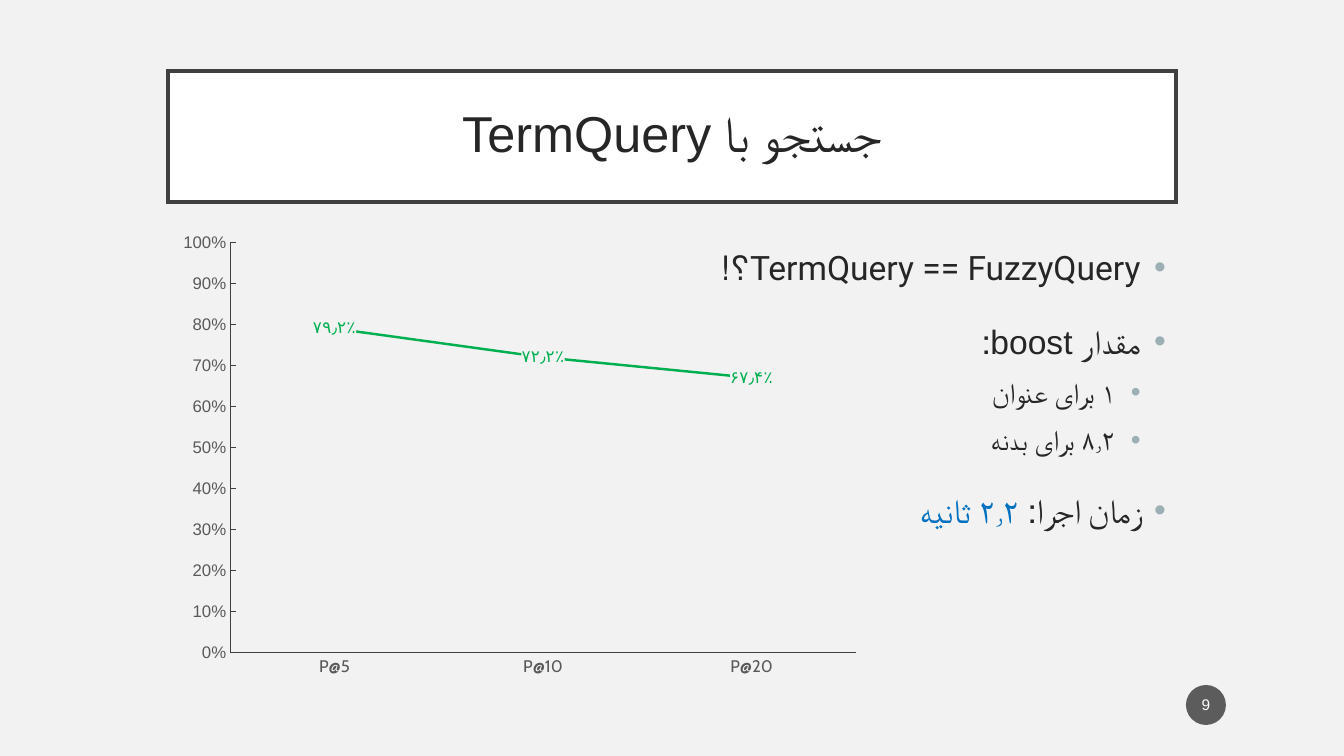
import dataclasses

import lxml.etree
import pptx
import pptx.chart.data
import pptx.dml.color
import pptx.enum.chart
import pptx.enum.shapes
import pptx.enum.text
import pptx.oxml.ns
import pptx.util


@dataclasses.dataclass(frozen=True)
class Theme:
    """Colours, fonts and type sizes of the slide."""
    background: str = "F2F2F2"
    panel: str = "FFFFFF"
    frame: str = "404040"
    text: str = "262626"
    accent: str = "0070C0"
    bullet: str = "9BAFB5"
    badge: str = "1D1D1D"
    axis_text: str = "595959"
    series: str = "00B050"
    font: str = "Arial"
    query_font: str = "Roboto"
    category_font: str = "Cabin"
    title_size: int = 36
    item_size: int = 24
    subitem_size: int = 20
    axis_size: int = 12
    badge_size: int = 11


THEME = Theme()
ALIGN = pptx.enum.text.PP_ALIGN
MIDDLE = pptx.enum.text.MSO_ANCHOR.MIDDLE


def px(length):
    """Turn pixels into EMU."""
    return pptx.util.Emu(round(length * 914400 / 100.8))


def rgb(value):
    """Return a colour object."""
    return pptx.dml.color.RGBColor.from_string(value)


def add_xml(parent, tag, **attributes):
    """Append an XML element."""
    return lxml.etree.SubElement(parent, pptx.oxml.ns.qn(tag), attributes)


def place(shape, left, top, width, height):
    """Move and size a shape."""
    shape.left, shape.top = px(left), px(top)
    shape.width, shape.height = px(width), px(height)


def paint(fill, color):
    """Fill with one colour."""
    fill.solid()
    fill.fore_color.rgb = rgb(color)


def set_font(font, size, color, name=THEME.font):
    """Set size, colour and typeface."""
    font.size = pptx.util.Pt(size)
    font.name = name
    font.bold = False
    font.color.rgb = rgb(color)


def add_span(para, text, size, color=THEME.text, name=THEME.font):
    """Add one formatted run."""
    span = para.add_run()
    span.text = text
    set_font(span.font, size, color, name)


def set_rtl(para, align):
    """Make a paragraph run right to left."""
    para.alignment = align
    para._p.get_or_add_pPr().set("rtl", "1")


def add_title(page, text):
    """Fill the framed title."""
    title = page.shapes.title
    place(title, 168, 71, 1008, 131)
    paint(title.fill, THEME.panel)
    title.line.color.rgb = rgb(THEME.frame)
    title.line.width = pptx.util.Pt(2.5)
    outline = title.element.spPr.find(pptx.oxml.ns.qn("a:ln"))
    add_xml(outline, "a:miter", lim="800000")
    frame = title.text_frame
    frame.word_wrap = True
    frame.auto_size = pptx.enum.text.MSO_AUTO_SIZE.NONE
    frame.vertical_anchor = MIDDLE
    frame.margin_left = frame.margin_right = px(20)
    frame.margin_top = frame.margin_bottom = px(20)
    para = frame.paragraphs[0]
    set_rtl(para, ALIGN.CENTER)
    para.line_spacing = 0.9
    add_span(para, text, THEME.title_size)


def add_item(para, level, before, spans):
    """Write one bulleted right-to-left item."""
    para.level = level
    set_rtl(para, ALIGN.RIGHT)
    para.line_spacing = 1.0
    para.space_before = pptx.util.Pt(before)
    para.space_after = pptx.util.Pt(0)
    props = para._p.get_or_add_pPr()
    indent = pptx.util.Inches(0.25)
    props.set("marL", str(indent * (level + 1)))
    props.set("indent", str(-indent))
    add_xml(add_xml(props, "a:buClr"), "a:srgbClr", val=THEME.bullet)
    add_xml(props, "a:buFont", typeface=THEME.font)
    add_xml(props, "a:buChar", char="•")
    size = THEME.subitem_size if level else THEME.item_size
    for text, color, name in spans:
        add_span(para, text, size, color, name)


def add_list(page, items):
    """Fill the body placeholder with items."""
    body = page.placeholders[1]
    place(body, 168, 242, 1008, 403)
    frame = body.text_frame
    frame.word_wrap = True
    frame.auto_size = pptx.enum.text.MSO_AUTO_SIZE.NONE
    frame.vertical_anchor = pptx.enum.text.MSO_ANCHOR.TOP
    for index, item in enumerate(items):
        para = frame.add_paragraph() if index else frame.paragraphs[0]
        add_item(para, *item)


def add_badge(page, number):
    """Draw the round page number."""
    badge = page.shapes.add_shape(
        pptx.enum.shapes.MSO_SHAPE.OVAL, px(1186), px(685), px(40), px(40))
    badge.shadow.inherit = False
    paint(badge.fill, THEME.badge)
    color = badge.element.spPr.find(".//" + pptx.oxml.ns.qn("a:srgbClr"))
    add_xml(color, "a:alpha", val="70000")
    badge.line.fill.background()
    frame = badge.text_frame
    frame.vertical_anchor = MIDDLE
    frame.margin_left = frame.margin_right = px(2)
    frame.margin_top, frame.margin_bottom = px(3), px(8)
    para = frame.paragraphs[0]
    para.alignment = ALIGN.CENTER
    para.line_spacing = pptx.util.Pt(16)
    add_span(para, number, THEME.badge_size, THEME.panel)


def style_axis(axis, name, tick):
    """Format one chart axis."""
    axis.has_major_gridlines = False
    axis.major_tick_mark = tick
    axis.minor_tick_mark = pptx.enum.chart.XL_TICK_MARK.NONE
    axis.format.line.color.rgb = rgb(THEME.frame)
    axis.format.line.width = pptx.util.Pt(0.75)
    set_font(axis.tick_labels.font, THEME.axis_size, THEME.axis_text, name)


def set_plot_area(chart, **fractions):
    """Fix the inner plot area."""
    area = chart._chartSpace.chart.plotArea
    layout = area.find(pptx.oxml.ns.qn("c:layout"))
    if layout is None:
        layout = add_xml(area, "c:layout")
        area.insert(0, layout)
    manual = add_xml(layout, "c:manualLayout")
    add_xml(manual, "c:layoutTarget", val="inner")
    for side in "xy":
        add_xml(manual, f"c:{side}Mode", val="edge")
    for side, fraction in fractions.items():
        add_xml(manual, f"c:{side}", val=str(fraction))


def add_point_label(point, text):
    """Label a point on a patch that covers the line."""
    label = point.data_label
    add_span(label.text_frame.paragraphs[0], text,
             THEME.axis_size, THEME.series)
    label.position = pptx.enum.chart.XL_LABEL_POSITION.CENTER
    rich = label.text_frame._txBody
    patch = add_xml(rich.getparent().getparent(), "c:spPr")
    add_xml(add_xml(patch, "a:solidFill"), "a:srgbClr", val=THEME.background)
    rich.getparent().addnext(patch)


def add_precision_chart(page, precision):
    """Add the line chart of precision by cutoff."""
    data = pptx.chart.data.CategoryChartData(number_format="0.0%")
    data.categories = [cutoff for cutoff, _, _ in precision]
    data.add_series("Series 1", [value for _, value, _ in precision])
    chart = page.shapes.add_chart(
        pptx.enum.chart.XL_CHART_TYPE.LINE,
        px(167), px(224), px(703), px(461), data).chart
    chart.has_legend = chart.has_title = False
    set_font(chart.font, 10, "000000", THEME.category_font)
    set_plot_area(chart, x=0.09, y=0.04, w=0.89, h=0.89)
    ticks = pptx.enum.chart.XL_TICK_MARK
    style_axis(chart.category_axis, THEME.category_font, ticks.NONE)
    axis = chart.value_axis
    style_axis(axis, THEME.font, ticks.INSIDE)
    axis.minimum_scale, axis.maximum_scale, axis.major_unit = 0, 1, 0.1
    axis.tick_labels.number_format = "0%"
    axis.tick_labels.number_format_is_linked = False
    plot = chart.plots[0]
    plot.vary_by_categories = False
    line = plot.series[0]
    line.smooth = False
    line.marker.style = pptx.enum.chart.XL_MARKER_STYLE.NONE
    line.format.line.color.rgb = rgb(THEME.series)
    line.format.line.width = pptx.util.Pt(1.75)
    for index, (_, _, text) in enumerate(precision):
        add_point_label(line.points[index], text)


def main():
    """Build and save the slide."""
    deck = pptx.Presentation()
    deck.slide_width, deck.slide_height = px(1344), px(756)
    page = deck.slides.add_slide(deck.slide_layouts[1])
    paint(page.background.fill, THEME.background)
    plain = (THEME.text, THEME.font)
    add_title(page, "جستجو با TermQuery")
    add_list(page, [
        (0, 10, [("TermQuery == FuzzyQuery؟!", THEME.text, THEME.query_font)]),
        (0, 24, [("مقدار boost:", *plain)]),
        (1, 10, [("۱ برای عنوان", *plain)]),
        (1, 10, [("۸٫۲ برای بدنه", *plain)]),
        (0, 24, [("زمان اجرا: ", *plain),
                 ("۲٫۲ ثانیه", THEME.accent, THEME.font)]),
    ])
    add_badge(page, "9")
    add_precision_chart(page, [("P@5", 0.79, "۷۹٫۲٪"),
                               ("P@10", 0.72, "۷۲٫۲٪"),
                               ("P@20", 0.67, "۶۷٫۴٪")])
    deck.save("out.pptx")


main()
